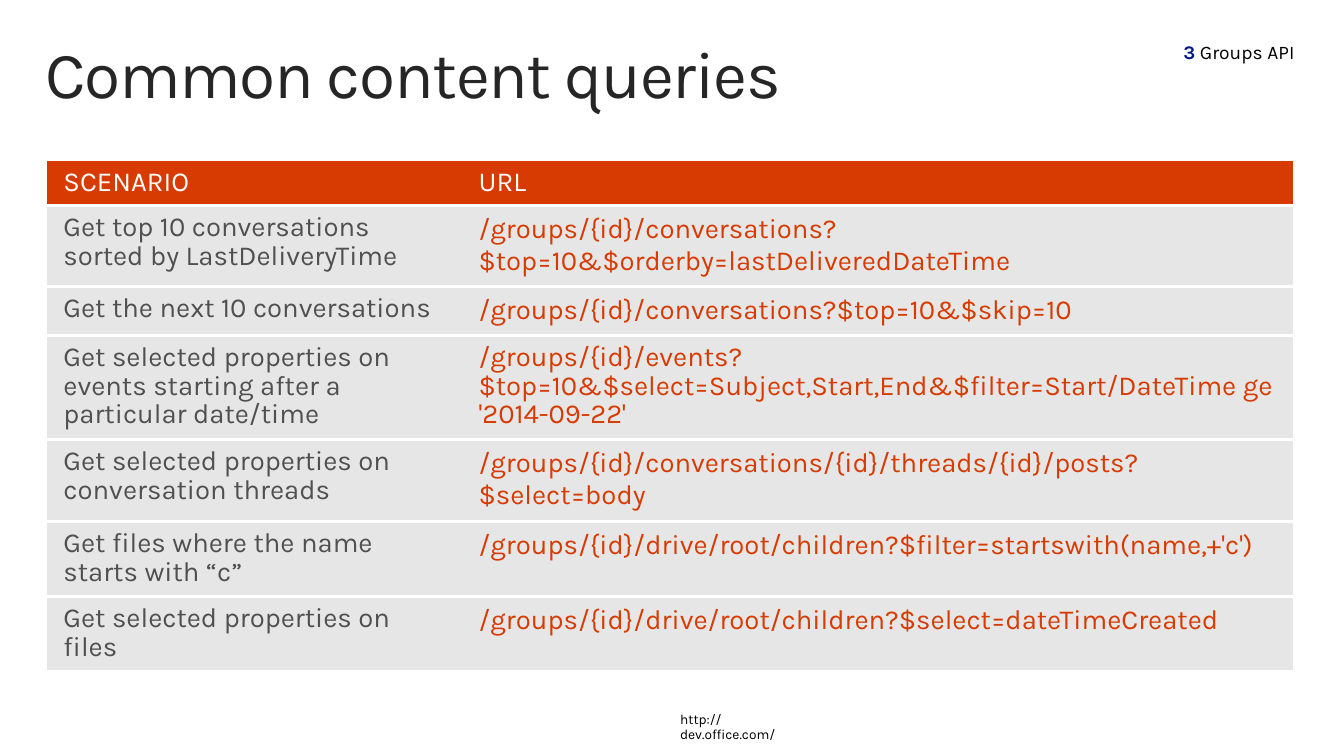
from lxml.etree import SubElement
from pptx import Presentation
from pptx.dml.color import RGBColor
from pptx.enum.text import MSO_ANCHOR, PP_ALIGN
from pptx.oxml.ns import qn
from pptx.util import Cm, Pt

FONT = "Karla"
BLACK = RGBColor(0x00, 0x00, 0x00)
WHITE = RGBColor(0xFF, 0xFF, 0xFF)
CHARCOAL = RGBColor(0x26, 0x26, 0x26)
GRAY = RGBColor(0x50, 0x50, 0x50)
LIGHT_GRAY = RGBColor(0xE6, 0xE6, 0xE6)
ORANGE = RGBColor(0xD8, 0x3B, 0x01)
NAVY = RGBColor(0x00, 0x18, 0x8F)

# scenario, URL, row height in cm, URL line spacing
ROWS = [
    ("SCENARIO", "URL", 1.16, 0.9),
    ("Get top 10 conversations sorted by LastDeliveryTime",
     "/groups/{id}/conversations?$top=10&$orderby=lastDeliveredDateTime", 2.06, 1.0),
    ("Get the next 10 conversations",
     "/groups/{id}/conversations?$top=10&$skip=10", 1.23, 1.0),
    ("Get selected properties on events starting after a particular date/time",
     "/groups/{id}/events?$top=10&$select=Subject,Start,End"
     "&$filter=Start/DateTime ge '2014-09-22'", 2.6, 0.9),
    ("Get selected properties on conversation threads",
     "/groups/{id}/conversations/{id}/threads/{id}/posts?$select=body", 2.04, 1.0),
    ("Get files where the name starts with “c”",
     "/groups/{id}/drive/root/children?$filter=startswith(name,+'c')", 1.87, 1.0),
    ("Get selected properties on files",
     "/groups/{id}/drive/root/children?$select=dateTimeCreated", 1.87, 1.0),
]


def add_run(p, text, size, color, bold=False):
    r = p.add_run()
    r.text = text
    r.font.name = FONT
    r.font.size = Pt(size)
    r.font.bold = bold
    r.font.color.rgb = color
    return r


def add_text_box(s, left, top, width, height, margins):
    """Add a wrapping text box, lengths in cm; return its text frame."""
    tf = s.shapes.add_textbox(Cm(left), Cm(top), Cm(width), Cm(height)).text_frame
    tf.word_wrap = True
    tf.margin_left, tf.margin_top, tf.margin_right, tf.margin_bottom = map(Cm, margins)
    return tf


prs = Presentation()
prs.slide_width, prs.slide_height = Cm(34.54), Cm(19.43)
s = prs.slides.add_slide(prs.slide_layouts[6])

# Footer address
tf = add_text_box(s, 17.07, 18.06, 4.22, 0.89, (0.41, 0.25, 0.41, 0.25))
p = tf.paragraphs[0]
p.line_spacing = 0.9
add_run(p, "http://dev.office.com/", 10, BLACK)

# Title
tf = add_text_box(s, 0.76, 0.81, 33.02, 2.54, (0.41, 0.25, 0.41, 0.25))
p = tf.paragraphs[0]
p.line_spacing = 0.9
r = add_run(p, "Common content queries", 48, CHARCOAL)
r.font._element.set("spc", "-100")

# Query table
table = s.shapes.add_table(len(ROWS), 2, Cm(1.22), Cm(4.11), Cm(32), Cm(12.83)).table
table.horz_banding = False
table.columns[0].width = Cm(10.67)
table.columns[1].width = Cm(21.33)

for i, (scenario, url, height, url_spacing) in enumerate(ROWS):
    table.rows[i].height = Cm(height)
    header = i == 0
    columns = [(scenario, GRAY, 0.9), (url, ORANGE, url_spacing)]
    for j, (text, color, spacing) in enumerate(columns):
        cell = table.cell(i, j)
        cell.margin_left = cell.margin_right = Cm(0.41)
        cell.margin_top = cell.margin_bottom = Cm(0.2)
        cell.vertical_anchor = MSO_ANCHOR.MIDDLE if header else MSO_ANCHOR.TOP
        tcPr = cell._tc.get_or_add_tcPr()
        for side in ("lnL", "lnR"):
            SubElement(SubElement(tcPr, qn(f"a:{side}")), qn("a:noFill"))
        for side in ("lnT", "lnB"):
            ln = SubElement(tcPr, qn(f"a:{side}"), w=str(Pt(2.25)))
            fill = SubElement(ln, qn("a:solidFill"))
            SubElement(fill, qn("a:srgbClr"), val=str(WHITE))
        cell.fill.solid()
        cell.fill.fore_color.rgb = ORANGE if header else LIGHT_GRAY
        p = cell.text_frame.paragraphs[0]
        p.line_spacing = spacing
        add_run(p, text, 20, WHITE if header else color)

# Section label
tf = add_text_box(s, 22.12, 0.81, 11.66, 1.04, (0.25, 0.13, 0.51, 0.13))
tf.vertical_anchor = MSO_ANCHOR.MIDDLE
p = tf.paragraphs[0]
p.alignment = PP_ALIGN.RIGHT
add_run(p, "3", 14, NAVY, bold=True)
add_run(p, " Groups API", 14, BLACK)

prs.save("out.pptx")
